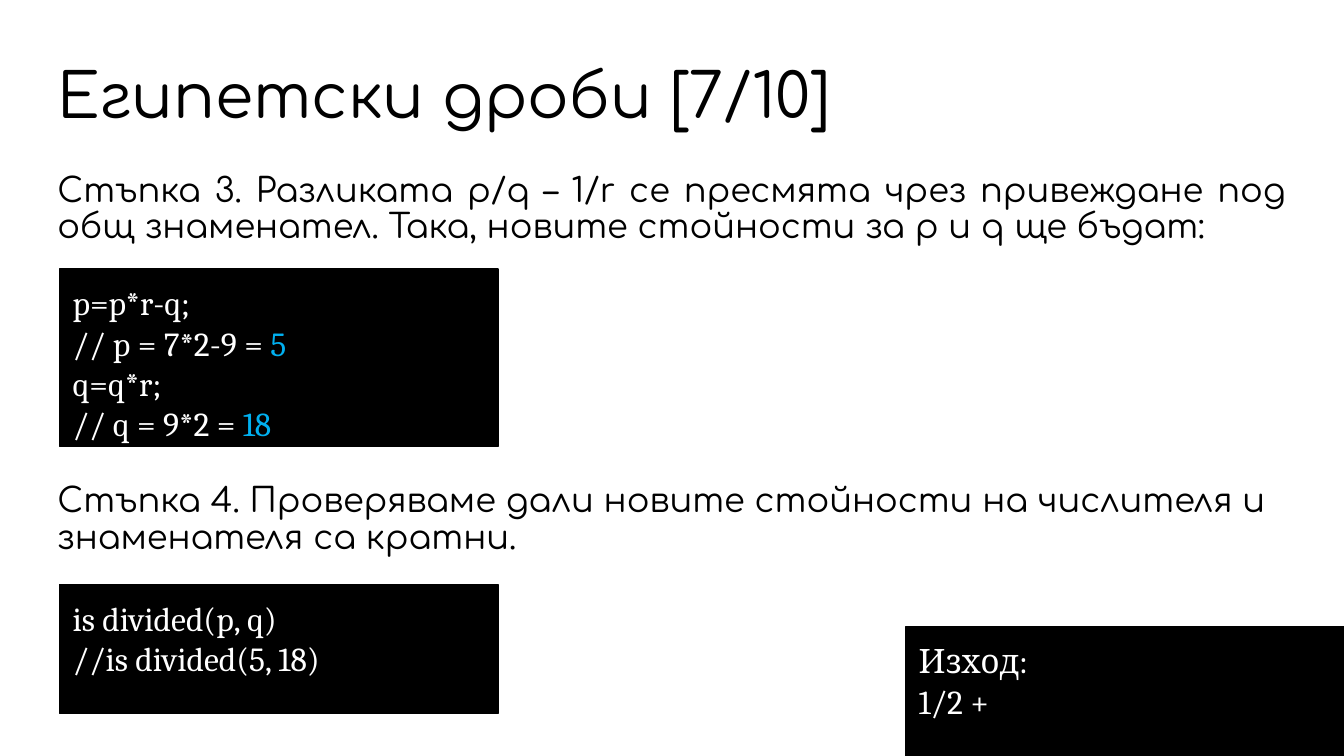
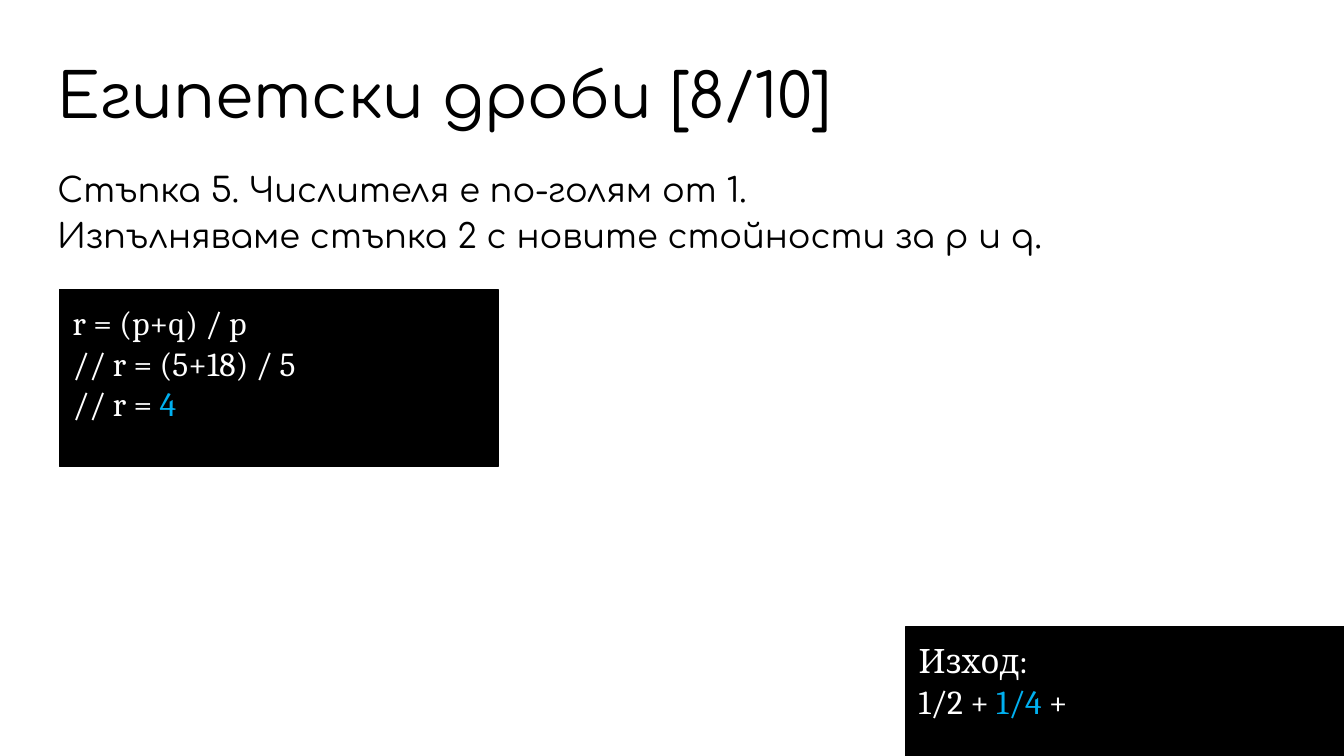
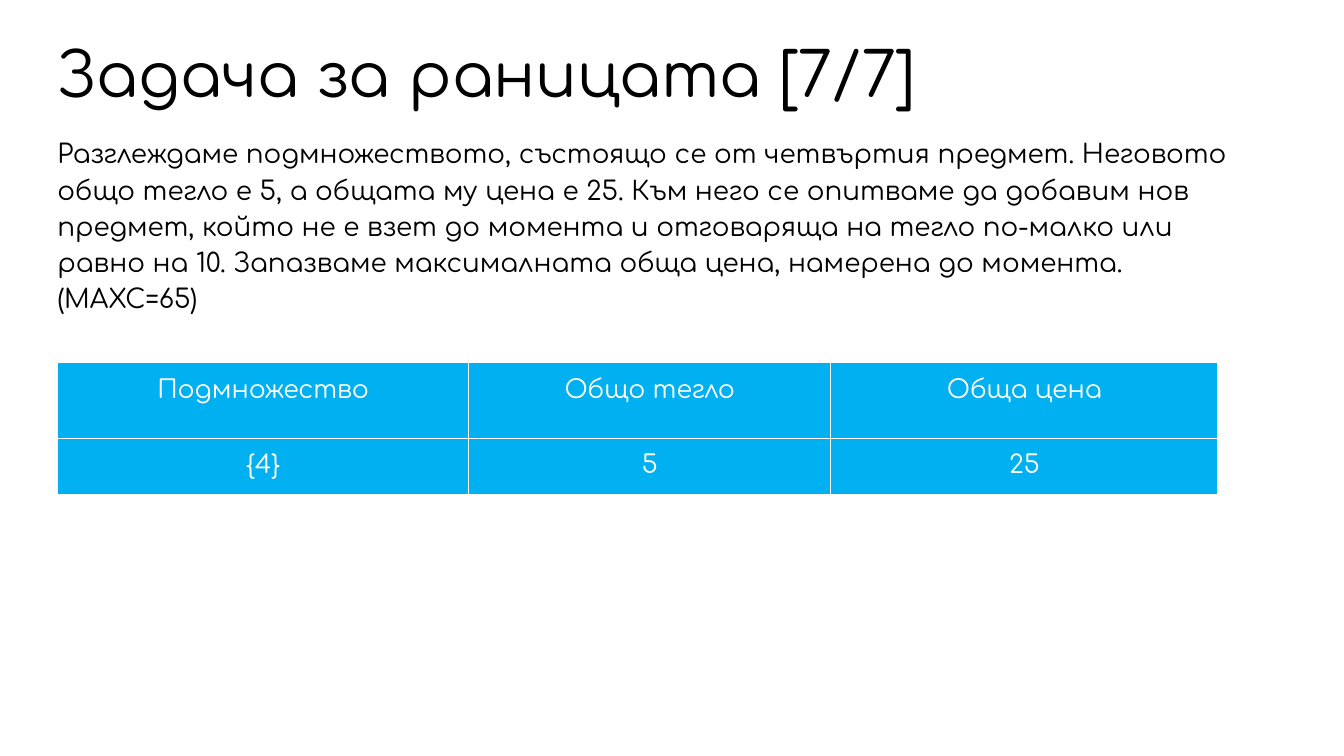
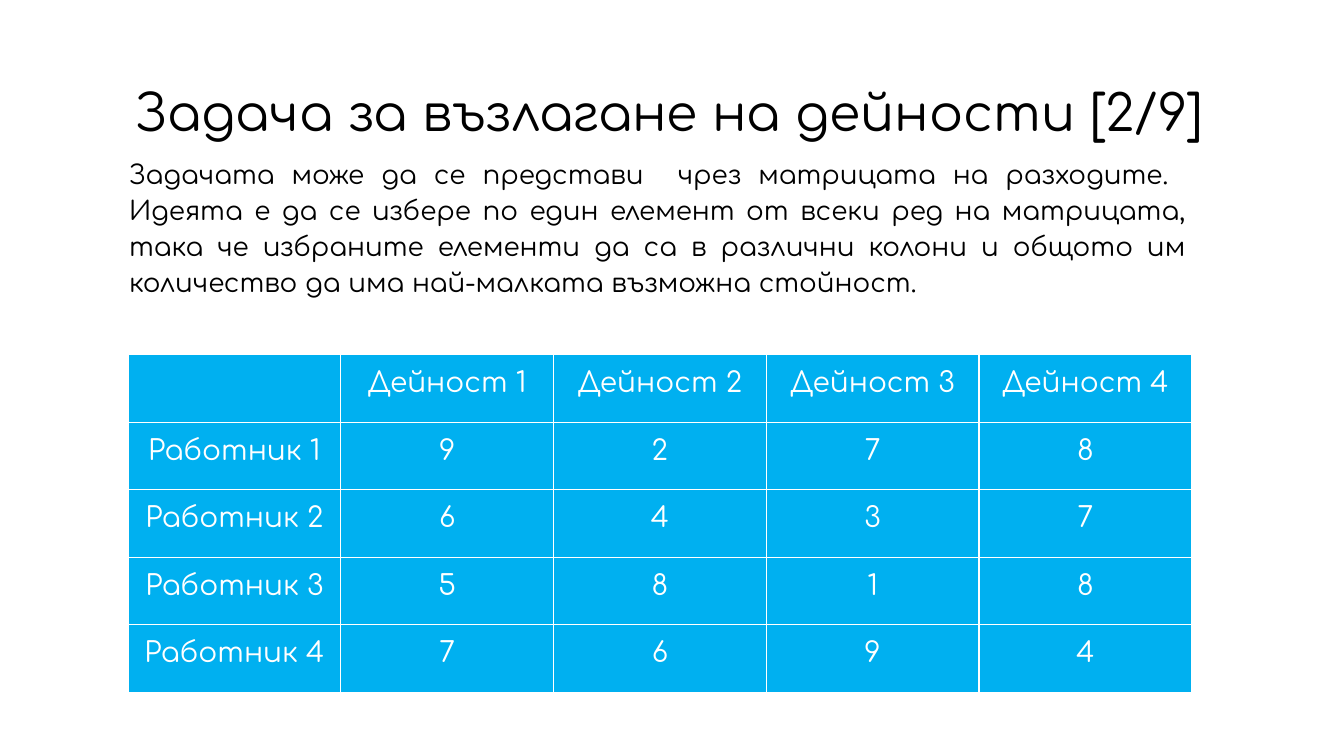
from lxml.etree import SubElement
from pptx import Presentation
from pptx.dml.color import RGBColor
from pptx.enum.shapes import MSO_SHAPE
from pptx.enum.text import MSO_ANCHOR, PP_ALIGN
from pptx.oxml.ns import qn
from pptx.util import Inches, Pt

COLORS = {"text": "000000", "panel": "000000", "light": "FFFFFF", "accent": "00B0F0"}
TEXT_FONT, CODE_FONT = "Comfortaa", "Cambria"
TEXT_INSETS = (0.12, 0.04)
PANEL_INSETS = (0.13, 0.13)
STEP_STYLE = {"size": 24, "line_spacing": 0.9, "before": 6.7}
PROSE_STYLE = {"size": 18.7, "line_spacing": 1.15, "before": 16}
OUTPUT_BOX = (8.98, 6.22, 4.35, 1.28)

# Boxes are (left, top, width, height) in inches.
# A code line is a tuple of pieces: plain, highlighted, plain, ...
SLIDES = [
    {
        "title": ("Египетски дроби [7/10]", (0.45, 0.56, 12.42, 0.84), 44),
        "texts": [
            ((0.45, 1.68, 12.42, 0.9),
             ["Стъпка 3. Разликата p/q – 1/r се пресмята чрез привеждане под общ знаменател. "
              "Така, новите стойности за p и q ще бъдат:"],
             {**STEP_STYLE, "align": PP_ALIGN.JUSTIFY}),
            ((0.45, 4.76, 12.42, 0.9),
             ["Стъпка 4. Проверяваме дали новите стойности на числителя и знаменателя са кратни."],
             STEP_STYLE),
        ],
        "code": [
            ((0.59, 2.67, 4.35, 1.76),
             [("p=p*r-q;",), ("// p = 7*2-9 = ", "5"), ("q=q*r;",), ("// q = 9*2 = ", "18")]),
            ((0.59, 5.8, 4.35, 1.28), [("is divided(p, q)",), ("//is divided(5, 18)",)]),
            (OUTPUT_BOX, [("Изход:",), ("1/2 +",)]),
        ],
    },
    {
        "title": ("Египетски дроби [8/10]", (0.45, 0.56, 12.42, 0.84), 44),
        "texts": [
            ((0.45, 1.68, 12.42, 1),
             ["Стъпка 5. Числителя е по-голям от 1.",
              "Изпълняваме стъпка 2 с новите стойности за p и q."],
             STEP_STYLE),
        ],
        "code": [
            ((0.59, 2.87, 4.35, 1.76),
             [("r = (p+q) / p",), ("// r = (5+18) / 5",), ("// r = ", "4")]),
            (OUTPUT_BOX, [("Изход:",), ("1/2 + ", "1/4 ", "+")]),
        ],
    },
    {
        "title": ("Задача за раницата [7/7]", (0.45, 0.3, 12.42, 0.93), 44),
        "texts": [
            ((0.45, 1.28, 12.14, 2.27),
             ["Разглеждаме подмножеството, състоящо се от четвъртия предмет. Неговото общо тегло е 5, "
              "а общата му цена е 25. Към него се опитваме да добавим нов предмет, който не е взет до "
              "момента и отговаряща на тегло по-малко или равно на 10. Запазваме максималната обща цена, "
              "намерена до момента. (MAXC=65)"],
             {**PROSE_STYLE, "after": 16}),
        ],
        "table": {
            "at": (0.57, 3.6), "columns": [4.08, 3.59, 3.84], "rows": [0.75, 0.46], "size": 18,
            "cells": [["Подмножество", "Общо тегло", "Обща цена"], ["{4}", "5", "25"]],
        },
    },
    {
        "title": ("Задача за възлагане на дейности [2/9]", (1.22, 0.72, 11.58, 0.84), 36),
        "texts": [
            ((1.16, 1.48, 10.72, 1.86),
             ["Задачата може да се представи  чрез матрицата на разходите.  Идеята е да се избере по "
              "един елемент от всеки ред на матрицата, така че избраните елементи да са в различни "
              "колони и общото им количество да има най-малката възможна стойност."],
             {**PROSE_STYLE, "align": PP_ALIGN.JUSTIFY}),
        ],
        "table": {
            "at": (1.27, 3.52), "columns": [2.11] * 5, "rows": [0.67] * 5, "size": 20,
            "cells": [
                ["", "Дейност 1", "Дейност 2", "Дейност 3", "Дейност 4"],
                ["Работник 1", "9", "2", "7", "8"],
                ["Работник 2", "6", "4", "3", "7"],
                ["Работник 3", "5", "8", "1", "8"],
                ["Работник 4", "7", "6", "9", "4"],
            ],
        },
    },
]


def color(name):
    return RGBColor.from_string(COLORS[name])


def set_font(font, name, size, color_name):
    font.name = name
    font.size = Pt(size)
    font.color.rgb = color(color_name)


def set_insets(target, insets):
    """Set the margins of a text frame or a table cell."""
    horizontal, vertical = map(Inches, insets)
    target.margin_left = target.margin_right = horizontal
    target.margin_top = target.margin_bottom = vertical


def paragraphs_for(frame, items):
    """Yield each item with its paragraph, adding paragraphs after the first."""
    for index, item in enumerate(items):
        yield (frame.add_paragraph() if index else frame.paragraphs[0]), item


def add_text(slide, box, lines, size, line_spacing=0.9, before=0, after=0,
             align=PP_ALIGN.LEFT, anchor=MSO_ANCHOR.TOP):
    frame = slide.shapes.add_textbox(*map(Inches, box)).text_frame
    frame.word_wrap = True
    frame.vertical_anchor = anchor
    set_insets(frame, TEXT_INSETS)
    for paragraph, line in paragraphs_for(frame, lines):
        paragraph.text = line
        paragraph.alignment = align
        paragraph.line_spacing = line_spacing
        paragraph.space_before = Pt(before)
        paragraph.space_after = Pt(after)
        set_font(paragraph.font, TEXT_FONT, size, "text")


def add_code(slide, box, lines):
    panel = slide.shapes.add_shape(MSO_SHAPE.RECTANGLE, *map(Inches, box))
    panel.shadow.inherit = False
    panel.fill.solid()
    panel.fill.fore_color.rgb = color("panel")
    panel.line.color.rgb = color("panel")
    panel.line.width = Pt(1)
    frame = panel.text_frame
    frame.word_wrap = True
    frame.vertical_anchor = MSO_ANCHOR.TOP
    set_insets(frame, PANEL_INSETS)
    for paragraph, pieces in paragraphs_for(frame, lines):
        paragraph.alignment = PP_ALIGN.LEFT
        set_font(paragraph.font, CODE_FONT, 24, "light")
        for index, piece in enumerate(pieces):
            run = paragraph.add_run()
            run.text = piece
            if index % 2:
                run.font.color.rgb = color("accent")


def add_borders(cell):
    properties = cell._tc.get_or_add_tcPr()
    for position, side in enumerate(("lnL", "lnR", "lnT", "lnB")):
        line = SubElement(properties, qn(f"a:{side}"), w=str(Pt(1)))
        fill = SubElement(line, qn("a:solidFill"))
        SubElement(fill, qn("a:srgbClr"), val=COLORS["light"])
        properties.insert(position, line)


def add_grid(slide, at, columns, rows, size, cells):
    box = (*at, sum(columns), sum(rows))
    table = slide.shapes.add_table(len(rows), len(columns), *map(Inches, box)).table
    table.first_row = table.horz_banding = False
    for column, width in zip(table.columns, columns):
        column.width = Inches(width)
    for row, height, texts in zip(table.rows, rows, cells):
        row.height = Inches(height)
        for cell, text in zip(row.cells, texts):
            set_insets(cell, PANEL_INSETS)
            cell.fill.solid()
            cell.fill.fore_color.rgb = color("accent")
            add_borders(cell)
            cell.text = text
            paragraph = cell.text_frame.paragraphs[0]
            paragraph.alignment = PP_ALIGN.CENTER
            set_font(paragraph.font, TEXT_FONT, size, "light")


def main():
    presentation = Presentation()
    presentation.slide_width = Inches(13.33)
    presentation.slide_height = Inches(7.5)
    for content in SLIDES:
        slide = presentation.slides.add_slide(presentation.slide_layouts[6])
        title, box, size = content["title"]
        add_text(slide, box, [title], size, anchor=MSO_ANCHOR.MIDDLE)
        for box, lines, style in content["texts"]:
            add_text(slide, box, lines, **style)
        for box, lines in content.get("code", []):
            add_code(slide, box, lines)
        if "table" in content:
            add_grid(slide, **content["table"])
    presentation.save("out.pptx")


if __name__ == "__main__":
    main()
